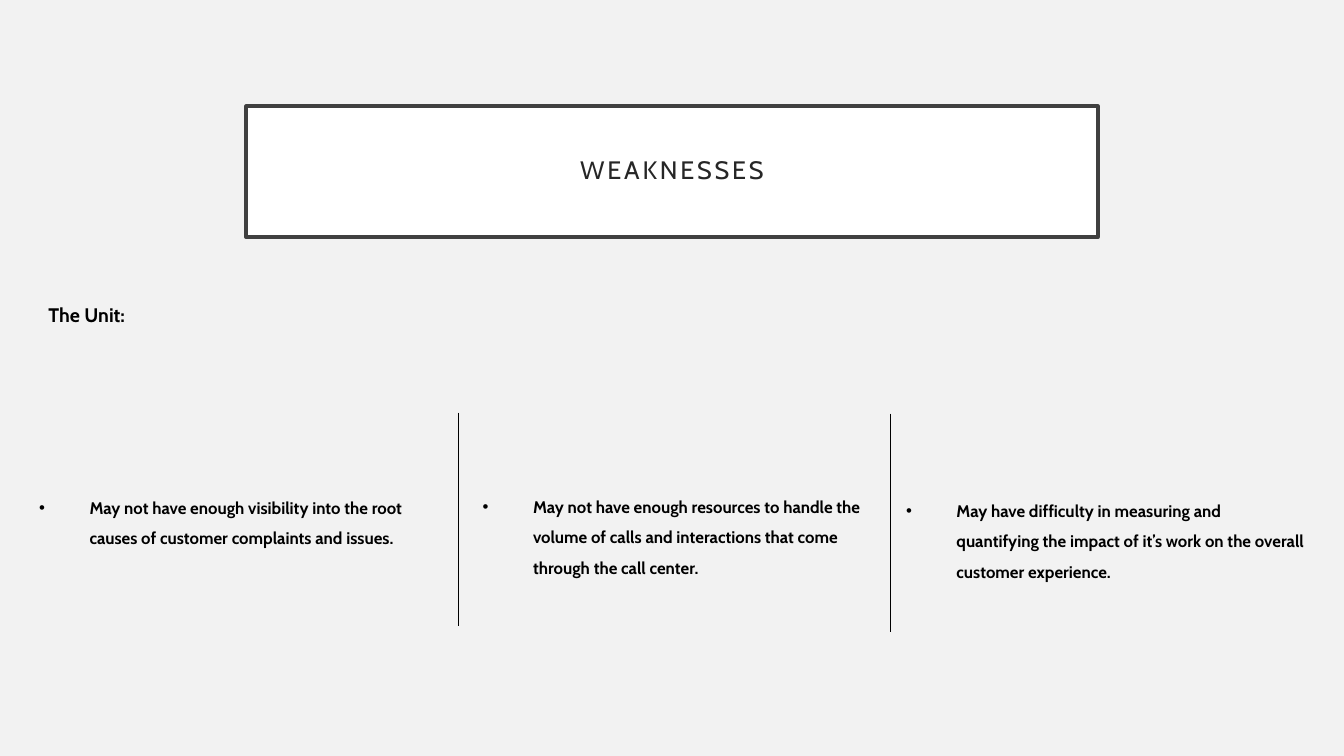
"""Builds the Weaknesses slide: a framed title and three points split by rules."""
from lxml.etree import SubElement
from pptx import Presentation
from pptx.dml.color import RGBColor
from pptx.enum.shapes import MSO_CONNECTOR, MSO_SHAPE
from pptx.enum.text import MSO_ANCHOR, MSO_AUTO_SIZE, PP_ALIGN
from pptx.oxml.ns import qn
from pptx.util import Pt

PAPER = RGBColor(0xF2, 0xF2, 0xF2)
WHITE = RGBColor(0xFF, 0xFF, 0xFF)
FRAME = RGBColor(0x40, 0x40, 0x40)
INK = RGBColor(0x26, 0x26, 0x26)
BLACK = RGBColor(0, 0, 0)


def style(para, size, color, bold=False):
    font = para.runs[0].font
    font.name = "Cabin"
    font.size = Pt(size)
    font.bold = bold
    font.color.rgb = color


def add_text(left, top, width, height, text, size):
    box = slide.shapes.add_textbox(Pt(left), Pt(top), Pt(width), Pt(height))
    frame = box.text_frame
    frame.word_wrap = True
    frame.auto_size = MSO_AUTO_SIZE.SHAPE_TO_FIT_TEXT
    frame.text = text
    para = frame.paragraphs[0]
    style(para, size, BLACK, True)
    return para


deck = Presentation()
deck.slide_width = Pt(960)
deck.slide_height = Pt(540)
slide = deck.slides.add_slide(deck.slide_layouts[6])
slide.background.fill.solid()
slide.background.fill.fore_color.rgb = PAPER

title = slide.shapes.add_shape(MSO_SHAPE.RECTANGLE, Pt(175.8), Pt(75.9), Pt(608.4), Pt(93.6))
title.shadow.inherit = False
title.fill.solid()
title.fill.fore_color.rgb = WHITE
title.line.color.rgb = FRAME
title.line.width = Pt(2.5)
frame = title.text_frame
frame.margin_left = frame.margin_right = Pt(14.4)
frame.margin_top = frame.margin_bottom = Pt(14.4)
frame.vertical_anchor = MSO_ANCHOR.MIDDLE
frame.text = "WEAKNESSES"
head = frame.paragraphs[0]
head.alignment = PP_ALIGN.CENTER
head.line_spacing = 0.9
style(head, 18, INK)
head.runs[0].font._element.set("spc", "200")

add_text(27.4, 213.1, 260, 24.5, "The Unit:", 14)

points = [
    (20.9, 344.9, 302.4, 48.2,
     "May not have enough visibility into the root causes of customer complaints and issues."),
    (337.7, 344.2, 299.5, 69.8,
     "May not have enough resources to handle the volume of calls and interactions "
     "that come through the call center."),
    (640.1, 347, 299.5, 69.8,
     "May have difficulty in measuring and quantifying the impact of it’s work on the "
     "overall customer experience."),
]
for left, top, width, height, text in points:
    para = add_text(left, top, width, height, text, 12)
    para.line_spacing = 1.5
    props = para._p.get_or_add_pPr()
    props.set("marL", str(Pt(36)))
    props.set("indent", str(Pt(-36)))
    SubElement(props, qn("a:buFont"), typeface="Arial")
    SubElement(props, qn("a:buChar"), char="•")

for left, top, bottom in [(327.6, 294.8, 447.1), (635.9, 295.5, 451.4)]:
    rule = slide.shapes.add_connector(MSO_CONNECTOR.STRAIGHT, Pt(left), Pt(top), Pt(left), Pt(bottom))
    rule.line.color.rgb = BLACK
    rule.line.width = Pt(0.5)
    SubElement(rule._element.spPr, qn("a:effectLst"))

deck.save("out.pptx")
